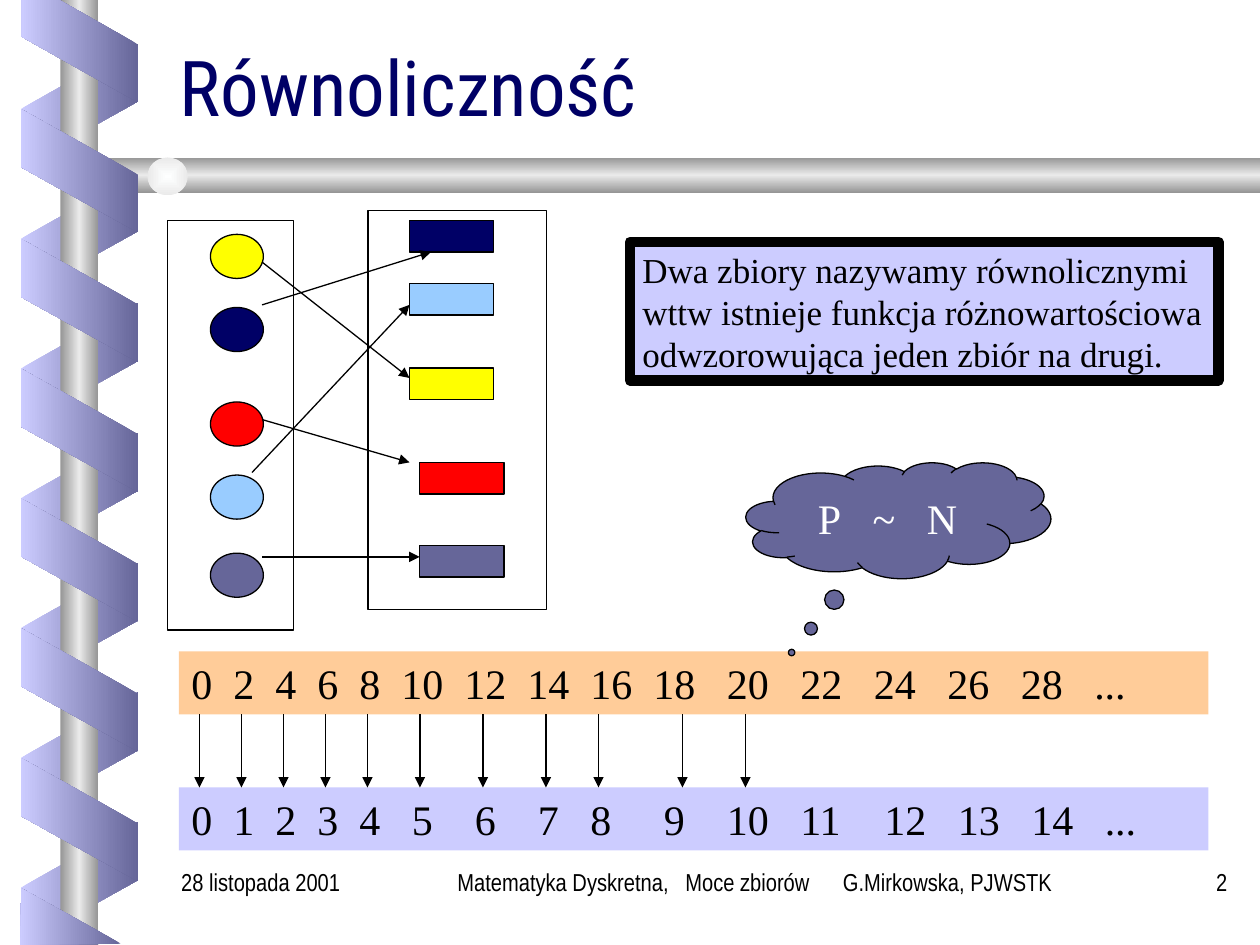
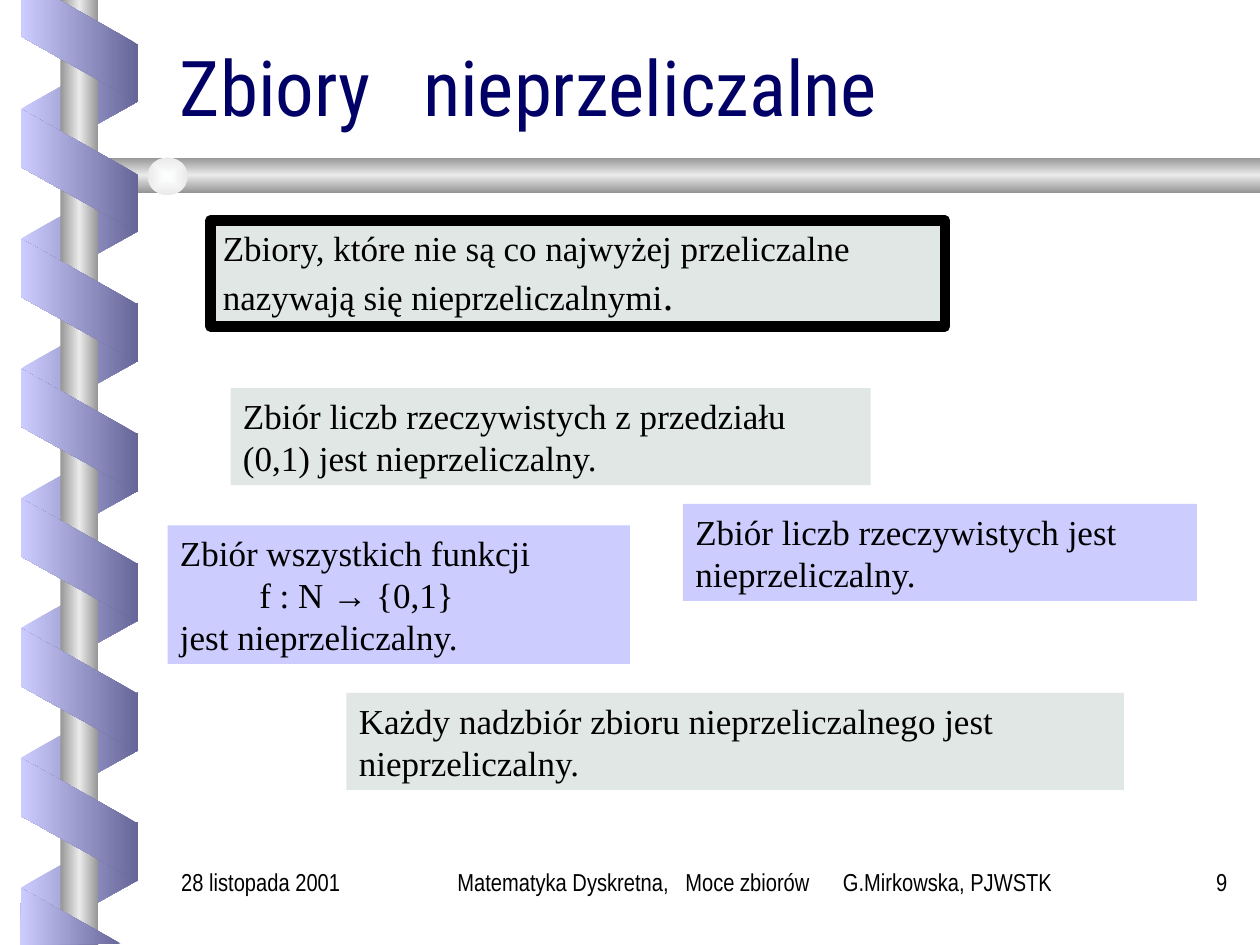
from lxml.etree import SubElement
from pptx import Presentation
from pptx.dml.color import RGBColor
from pptx.enum.shapes import MSO_CONNECTOR, MSO_SHAPE as Shape
from pptx.enum.text import MSO_ANCHOR as Anchor, PP_ALIGN as Align
from pptx.oxml.ns import qn
from pptx.util import Inches, Pt

COLORS = {
    "navy": "000066", "slate": "666699", "lavender": "CCCCFF", "sky": "99CCFF",
    "yellow": "FFFF00", "red": "FF0000", "peach": "FFCC99", "mist": "E1E7E4",
    "black": "000000", "white": "FFFFFF", "pearl": "FEFFFF",
    "steel": "969696", "silver": "EAEAEA",
}
SERIF, NARROW, HEADING = "Times New Roman", "Arial Narrow", "Roboto Condensed"
UNIT = 1 / 12  # inches, the width of a 24 pt space

# Shared frame
METAL = ("steel", "silver", "steel")
RIBBON_STEP = 1.03
RIBBON_TOP = [(0.17, 0), (0.17, 0.29), (1.09, 0.81), (1.09, 0.35), (0.47, 0)]
RIBBON_END = [(0.96, 7.49), (0.17, 7.05), (0.16, 7.5)]
TITLE_BAR = [(10, 1.25), (0.76, 1.25), (0.6, 1.39), (0.76, 1.53), (10, 1.53)]
DATE = "28 listopada 2001"
COURSE = ["Matematyka Dyskretna,", "Moce zbiorów", "G.Mirkowska, PJWSTK"]
COURSE_TABS = [1.81, 3.06]

# Slide: equinumerous sets
EQUAL_TITLE = "Równoliczność"
DEFINITION = ("Dwa zbiory nazywamy równolicznymi wttw istnieje funkcja "
              "różnowartościowa odwzorowująca jeden zbiór na drugi.")
CIRCLES = [("yellow", 1.86), ("slate", 4.39), ("sky", 3.77), ("navy", 2.44), ("red", 3.19)]
BLOCKS = [("navy", 3.25, 1.75), ("sky", 3.25, 2.25), ("yellow", 3.25, 2.92),
          ("red", 3.33, 3.67), ("slate", 3.33, 4.33)]
SET_FRAMES = [(1.33, 1.75, 1, 3.25), (2.92, 1.67, 1.42, 3.17)]
MAPPING = [((2.08, 2.08), (3.25, 3)), ((2.08, 2.42), (3.42, 2)),
           ((2, 3.75), (3.25, 2.42)), ((2.08, 3.33), (3.25, 3.67)),
           ((2.08, 4.42), (3.33, 4.42))]
# Number rows: fill, top, values, tab stops in units
NUMBER_ROWS = [
    ("peach", 5.17, [*range(0, 30, 2), "..."],
     [4, 8, 12, 16, 20, 26, 32, 38, 44, 51, 58, 65, 72, 79, 86]),
    ("lavender", 6.25, [*range(15), "..."],
     [4, 8, 12, 16, 21, 27, 33, 38, 45, 51, 58, 66, 73, 80, 87]),
]
PAIR_ARROWS = [19, 23, 27, 31, 35, 40, 46, 52, 57, 65, 71]  # left, in units

# Slide: uncountable sets
UNCOUNTABLE_TITLE = "Zbiory\tnieprzeliczalne"
UNCOUNTABLE = ["Zbiory, które nie są co najwyżej przeliczalne "
               "nazywają się nieprzeliczalnymi", (".", {"size": 24})]
FUNCTIONS = [["Zbiór wszystkich funkcji"],
             ["f : N ", ("→", {"font": "Arial"}), " {0,1}"],
             ["jest nieprzeliczalny."]]
STATEMENTS = [
    ((1.83, 3.08, 5.08, 0.77), "mist",
     [["Zbiór liczb rzeczywistych z przedziału (0,1) jest nieprzeliczalny."]]),
    ((2.75, 5.5, 6.17, 0.77), "mist",
     [["Każdy nadzbiór zbioru nieprzeliczalnego jest nieprzeliczalny."]]),
    ((5.42, 4, 4.08, 0.77), "lavender",
     [["Zbiór liczb rzeczywistych jest nieprzeliczalny."]]),
    ((1.33, 4.17, 3.67, 1.1), "lavender", FUNCTIONS),
]


def rgb(name):
    return RGBColor.from_string(COLORS[name])


def paint(shape, fill=None, line=None):
    """Set a flat fill and a black outline of the given width, or none."""
    shape.shadow.inherit = False
    if fill:
        shape.fill.solid()
        shape.fill.fore_color.rgb = rgb(fill)
    else:
        shape.fill.background()
    if line:
        shape.line.color.rgb = rgb("black")
        shape.line.width = Pt(line)
    else:
        shape.line.fill.background()
    return shape


def paint_gradient(shape, stops, angle=None):
    """Blend evenly spaced colours along an angle, or from the centre without one."""
    paint(shape)
    properties = shape._element.spPr
    empty_fill = properties.find(qn("a:noFill"))
    gradient = properties.makeelement(qn("a:gradFill"), {"rotWithShape": "0"})
    stop_list = SubElement(gradient, qn("a:gsLst"))
    for index, name in enumerate(stops):
        position = 100000 * index // (len(stops) - 1)
        stop = SubElement(stop_list, qn("a:gs"), pos=str(position))
        SubElement(stop, qn("a:srgbClr"), val=COLORS[name])
    if angle is None:
        centre = SubElement(gradient, qn("a:path"), path="rect")
        SubElement(centre, qn("a:fillToRect"), dict.fromkeys("ltrb", "50000"))
    else:
        SubElement(gradient, qn("a:lin"), ang=str(angle * 60000), scaled="1")
    properties.replace(empty_fill, gradient)


def add_shape(slide, kind, box, fill=None, line=None):
    return paint(slide.shapes.add_shape(kind, *map(Inches, box)), fill, line)


def add_outline(slide, points, stops, angle):
    start, *rest = [(Inches(x), Inches(y)) for x, y in points]
    builder = slide.shapes.build_freeform(*start)
    builder.add_line_segments(rest, close=True)
    paint_gradient(builder.convert_to_shape(), stops, angle)


def add_arrow(slide, start, end):
    connector = slide.shapes.add_connector(
        MSO_CONNECTOR.STRAIGHT, *map(Inches, (*start, *end)))
    connector.line.color.rgb = rgb("black")
    connector.line.width = Pt(0.75)
    properties = connector._element.spPr
    SubElement(properties.find(qn("a:ln")), qn("a:tailEnd"), type="triangle")
    SubElement(properties, qn("a:effectLst"))


def write(shape, paragraphs, size=20, font=SERIF, color="black", align=Align.LEFT,
          anchor=Anchor.TOP, wrap=True, tabs=()):
    """Fill a shape; a run is a string or a (string, changes) pair."""
    frame = shape.text_frame
    frame.word_wrap = wrap
    frame.vertical_anchor = anchor
    for index, runs in enumerate(paragraphs):
        paragraph = frame.add_paragraph() if index else frame.paragraphs[0]
        paragraph.alignment = align
        if tabs:
            tab_list = SubElement(paragraph._p.get_or_add_pPr(), qn("a:tabLst"))
            for tab in tabs:
                SubElement(tab_list, qn("a:tab"), pos=str(Inches(tab)), algn="l")
        for item in runs:
            text, changes = (item, {}) if isinstance(item, str) else item
            run = paragraph.add_run()
            run.text = text
            run.font.size = Pt(changes.get("size", size))
            run.font.name = changes.get("font", font)
            run.font.color.rgb = rgb(color)
            if "spacing" in changes:
                run._r.get_or_add_rPr().set("spc", str(changes["spacing"] * 100))
    return frame


def add_text(slide, box, text, **style):
    return write(slide.shapes.add_textbox(*map(Inches, box)), [[text]], **style)


def add_ribbon(slide, top, count, front):
    for index in range(count):
        box = (0.14, top + index * RIBBON_STEP, 0.98, 0.93)
        band = add_shape(slide, Shape.PARALLELOGRAM, box)
        band.adjustments[0] = 0.56
        band.rotation = 270 if front else 90
        if not front:
            band._element.spPr.find(qn("a:xfrm")).set("flipH", "1")
        paint_gradient(band, ("slate", "lavender") if front else ("lavender", "slate"), 180)


def add_frame(presentation, title, number):
    """Start a slide with the spiral, the title bar, the title and the footer."""
    slide = presentation.slides.add_slide(presentation.slide_layouts[6])
    add_ribbon(slide, 0.37, 7, front=False)
    paint_gradient(add_shape(slide, Shape.RECTANGLE, (0.48, 0, 0.3, 7.5)), METAL, 180)
    add_outline(slide, TITLE_BAR, METAL, 90)
    paint_gradient(add_shape(slide, Shape.OVAL, (1.17, 1.25, 0.32, 0.3)), ("pearl", "silver"))
    add_ribbon(slide, 0.89, 6, front=True)
    for points in (RIBBON_TOP, RIBBON_END):
        add_outline(slide, points, ("slate", "lavender"), 180)

    heading = add_text(slide, (1.33, 0.46, 8.5, 0.63), title, size=44, font=HEADING,
                       color="navy", anchor=Anchor.BOTTOM, tabs=[1.93])
    heading.paragraphs[0].line_spacing = 0.8
    footer = {"size": 14, "font": NARROW}
    course = add_text(slide, (3.17, 6.83, 5.75, 0.5), "\t".join(COURSE),
                      tabs=COURSE_TABS, **footer)
    course.margin_left = Inches(0.46)
    add_text(slide, (9, 6.83, 0.84, 0.5), str(number), align=Align.RIGHT, **footer)
    add_text(slide, (1.34, 6.83, 1.74, 0.5), DATE, **footer)
    return slide


def build_equal_sets(presentation):
    slide = add_frame(presentation, EQUAL_TITLE, 2)
    for color, top in CIRCLES:
        add_shape(slide, Shape.OVAL, (1.67, top, 0.42, 0.35), color, 0.75)
    for color, left, top in BLOCKS:
        add_shape(slide, Shape.RECTANGLE, (left, top, 0.67, 0.25), color, 0.75)
    for box in SET_FRAMES:
        add_shape(slide, Shape.RECTANGLE, box, line=0.75)
    for start, end in MAPPING:
        add_arrow(slide, start, end)

    definition = add_shape(slide, Shape.RECTANGLE, (5, 1.92, 4.67, 1.1), "lavender", 6)
    write(definition, [[DEFINITION]])
    for color, top, values, stops in NUMBER_ROWS:
        row = add_shape(slide, Shape.RECTANGLE, (1.42, top, 8.17, 0.5), color)
        write(row, [["\t".join(map(str, values))]], size=24,
              tabs=[stop * UNIT for stop in stops])
    for units in PAIR_ARROWS:
        add_arrow(slide, (units * UNIT, 5.67), (units * UNIT, 6.25))

    cloud = add_shape(slide, Shape.CLOUD_CALLOUT, (5.92, 3.67, 2.42, 0.92), "slate", 0.75)
    cloud.adjustments[0], cloud.adjustments[1] = -0.35, 1.14
    gap = (" ", {"spacing": 12})
    write(cloud, [["P", gap, "~", gap, "N"]], size=24, color="white",
          align=Align.CENTER, anchor=Anchor.MIDDLE, wrap=False)


def build_uncountable_sets(presentation):
    slide = add_frame(presentation, UNCOUNTABLE_TITLE, 9)
    definition = add_shape(slide, Shape.RECTANGLE, (1.67, 1.75, 5.83, 0.84), "mist", 6)
    write(definition, [UNCOUNTABLE])
    for box, color, paragraphs in STATEMENTS:
        frame = write(add_shape(slide, Shape.RECTANGLE, box, color), paragraphs)
        if paragraphs is FUNCTIONS:
            formula = frame.paragraphs[1]._p.get_or_add_pPr()
            formula.set("marL", str(Inches(0.63)))


def main():
    presentation = Presentation()
    presentation.slide_width, presentation.slide_height = Inches(10), Inches(7.5)
    build_equal_sets(presentation)
    build_uncountable_sets(presentation)
    presentation.save("out.pptx")


if __name__ == "__main__":
    main()
